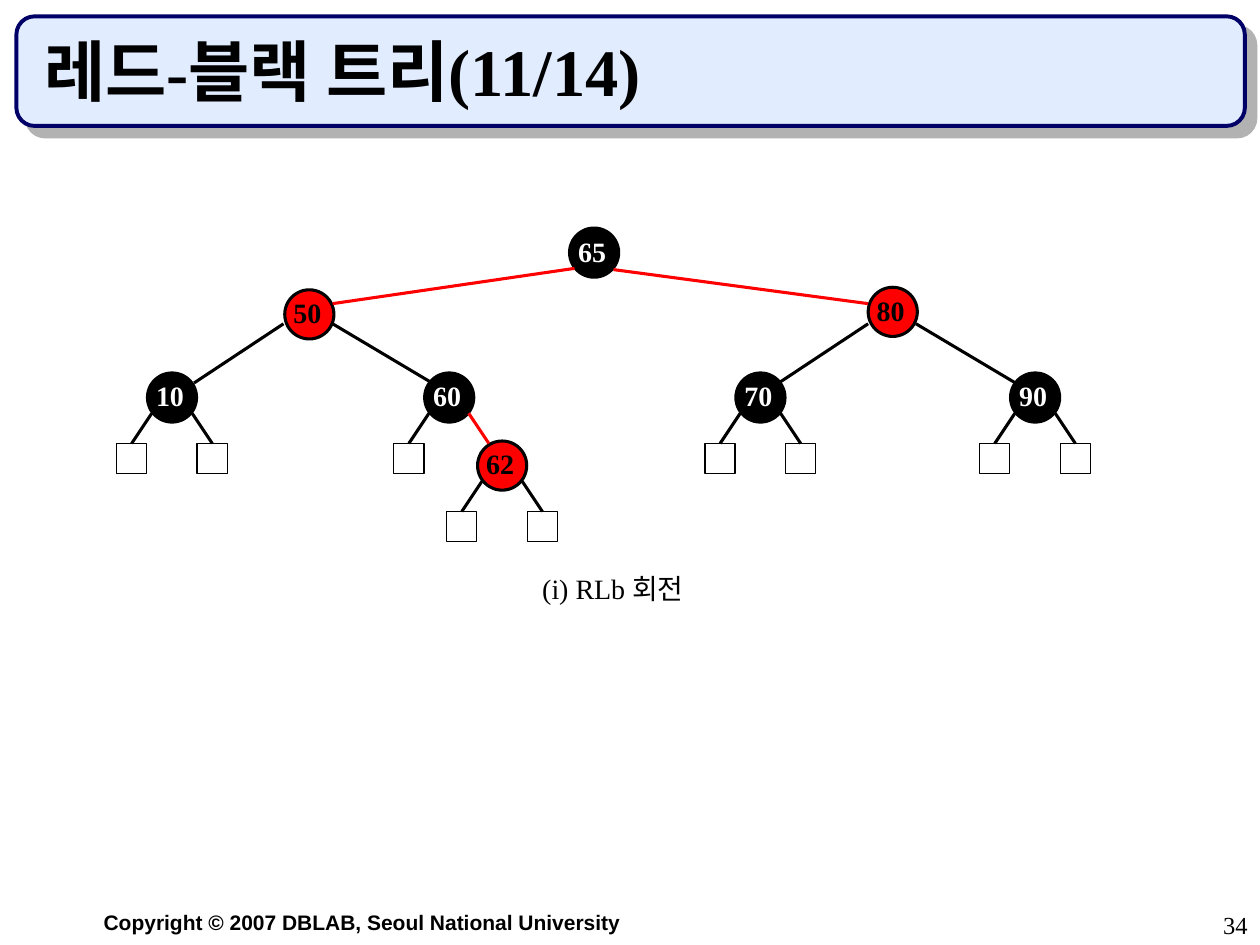
from lxml.etree import SubElement
from pptx import Presentation
from pptx.dml.color import RGBColor
from pptx.enum.shapes import MSO_CONNECTOR, MSO_SHAPE
from pptx.enum.text import MSO_ANCHOR, PP_ALIGN
from pptx.oxml import parse_xml
from pptx.oxml.ns import nsdecls, qn
from pptx.util import Inches, Pt

BLACK = RGBColor(0x00, 0x00, 0x00)
WHITE = RGBColor(0xFF, 0xFF, 0xFF)
RED = RGBColor(0xFF, 0x00, 0x00)
NAVY = RGBColor(0x00, 0x00, 0x66)
PALE = RGBColor(0xE1, 0xEC, 0xFF)
SERIF = "Times New Roman"
NODE = 0.39
LEAF = 0.24

# key: left, top, fill
NODES = {
    "65": (4.52, 1.81, BLACK),
    "50": (2.26, 2.3, RED),
    "80": (6.89, 2.28, RED),
    "10": (1.17, 2.96, BLACK),
    "60": (3.37, 2.96, BLACK),
    "70": (5.84, 2.96, BLACK),
    "90": (8.02, 2.96, BLACK),
    "62": (3.79, 3.5, RED),
}
# start, end, colour
EDGES = [
    ((4.56, 2.13), (2.64, 2.41), RED),
    ((4.87, 2.14), (6.89, 2.41), RED),
    ((2.25, 2.57), (1.54, 3.04), BLACK),
    ((2.64, 2.57), (3.43, 3.04), BLACK),
    ((6.89, 2.57), (6.18, 3.04), BLACK),
    ((7.27, 2.57), (8.06, 3.04), BLACK),
    ((3.72, 3.28), (3.88, 3.52), RED),
]
# node key: sides that end in an empty leaf (-1 left, 1 right)
LEAVES = {"10": (-1, 1), "60": (-1,), "70": (-1, 1), "90": (-1, 1), "62": (-1, 1)}


def write(frame, text, size=16, font=SERIF, color=BLACK, bold=False,
          align=PP_ALIGN.LEFT, spacing=None, anchor=MSO_ANCHOR.TOP):
    frame.word_wrap = True
    frame.vertical_anchor = anchor
    para = frame.paragraphs[0]
    para.alignment = align
    para.line_spacing = spacing
    run = para.add_run()
    run.text = text
    run.font.size = Pt(size)
    run.font.name = font
    run.font.bold = bold
    run.font.color.rgb = color


def add_text(slide, box, text, **style):
    shape = slide.shapes.add_textbox(*map(Inches, box))
    write(shape.text_frame, text, **style)


def add_form(slide, kind, box, fill, line, width):
    form = slide.shapes.add_shape(kind, *map(Inches, box))
    form.shadow.inherit = False
    if fill is None:
        form.fill.background()
    else:
        form.fill.solid()
        form.fill.fore_color.rgb = fill
    form.line.color.rgb = line
    form.line.width = Pt(width)
    return form


def add_edge(slide, start, end, color=BLACK):
    edge = slide.shapes.add_connector(
        MSO_CONNECTOR.STRAIGHT, *map(Inches, start + end))
    edge.line.color.rgb = color
    edge.line.width = Pt(1.75)
    SubElement(edge._element.spPr, qn("a:effectLst"))
    return edge


def add_node(slide, key):
    left, top, fill = NODES[key]
    add_form(slide, MSO_SHAPE.OVAL, (left, top, NODE, NODE), fill, BLACK, 1.75)
    add_text(slide, (left - 0.03, top + 0.05, 0.53, 0.32), key, bold=True,
             color=WHITE if fill == BLACK else BLACK, spacing=0.8)


def add_leaf(slide, key, side):
    left, top, _ = NODES[key]
    mid = left + NODE / 2
    end = mid + side * 0.32, top + 0.56
    leaf = add_form(slide, MSO_SHAPE.RECTANGLE,
                    (end[0] - LEAF / 2, end[1], LEAF, LEAF), None, BLACK, 0.75)
    edge = add_edge(slide, (mid + side * 0.16, top + 0.32), end)
    edge.end_connect(leaf, 0)


def add_title(slide, text):
    """Fill the title placeholder and set a shadowed panel behind it."""
    title = slide.shapes.title
    title.left, title.top = Inches(0.25), Inches(0.25)
    title.width, title.height = Inches(9.42), Inches(0.67)
    write(title.text_frame, text, size=38, bold=True, anchor=MSO_ANCHOR.BOTTOM)
    panel = add_form(slide, MSO_SHAPE.ROUNDED_RECTANGLE,
                     (0.13, 0.13, 9.75, 0.87), PALE, NAVY, 2.25)
    shade = parse_xml(
        f'<a:outerShdw {nsdecls("a")} dist="{Pt(8.5)}" dir="2700000" '
        'algn="ctr" rotWithShape="0"><a:srgbClr val="B2B2B2"/></a:outerShdw>')
    panel._element.spPr.find(qn("a:effectLst")).append(shade)
    title._element.addprevious(panel._element)


def main():
    deck = Presentation()
    deck.slide_width, deck.slide_height = Inches(10), Inches(7.5)
    slide = deck.slides.add_slide(deck.slide_layouts[5])
    add_title(slide, "레드-블랙 트리(11/14)")
    for key in NODES:
        add_node(slide, key)
    for start, end, color in EDGES:
        add_edge(slide, start, end, color)
    for key, sides in LEAVES.items():
        for side in sides:
            add_leaf(slide, key, side)
    add_text(slide, (3.9, 4.54, 1.93, 0.32), "(i) RLb 회전",
             align=PP_ALIGN.CENTER, spacing=0.8)
    add_text(slide, (0.25, 7.17, 5.25, 0.3),
             "Copyright © 2007 DBLAB, Seoul National University",
             size=12, font="Arial", bold=True, align=PP_ALIGN.CENTER)
    add_text(slide, (7.92, 7.17, 2.08, 0.33), "34", size=14,
             align=PP_ALIGN.RIGHT)
    deck.save("out.pptx")


if __name__ == "__main__":
    main()
